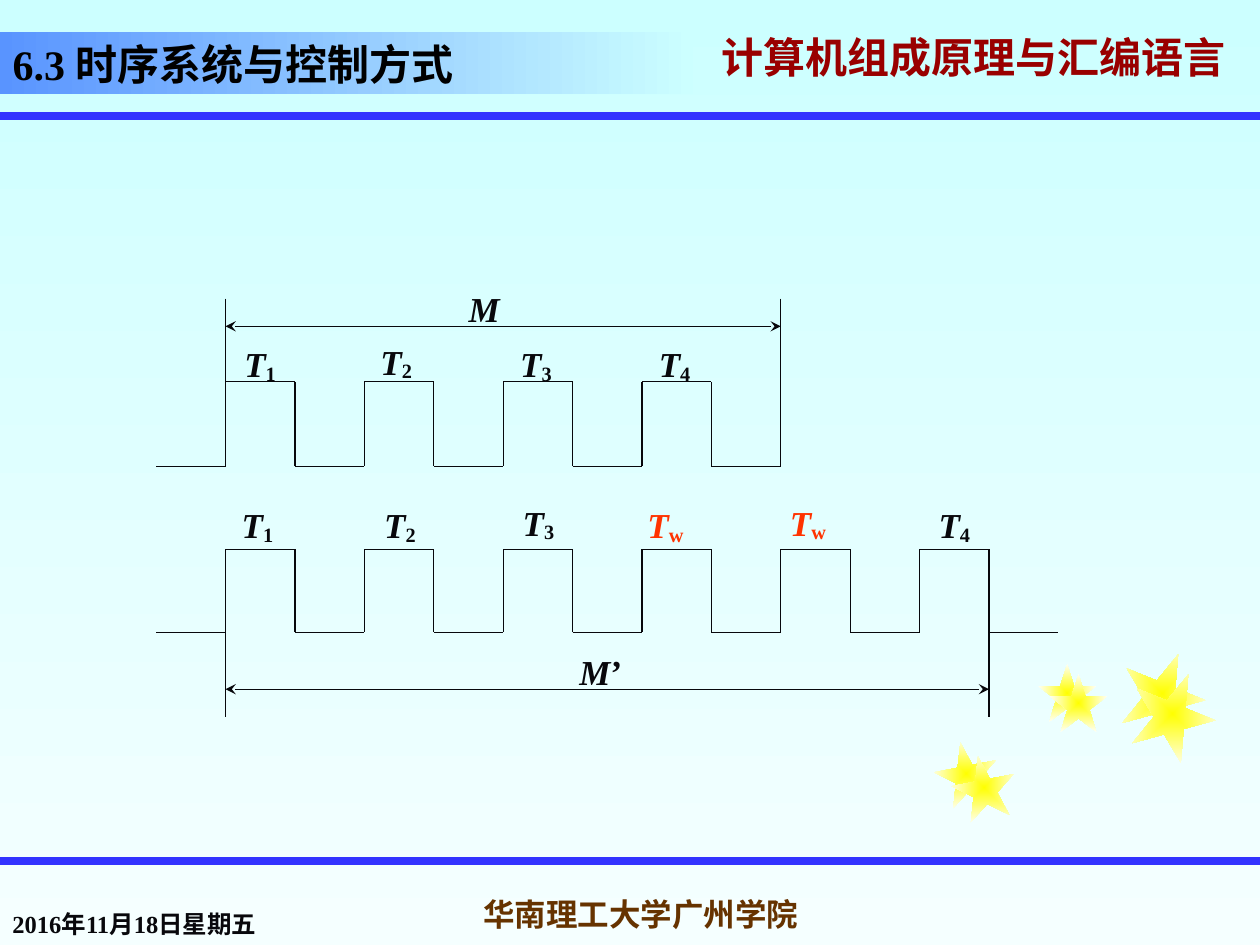
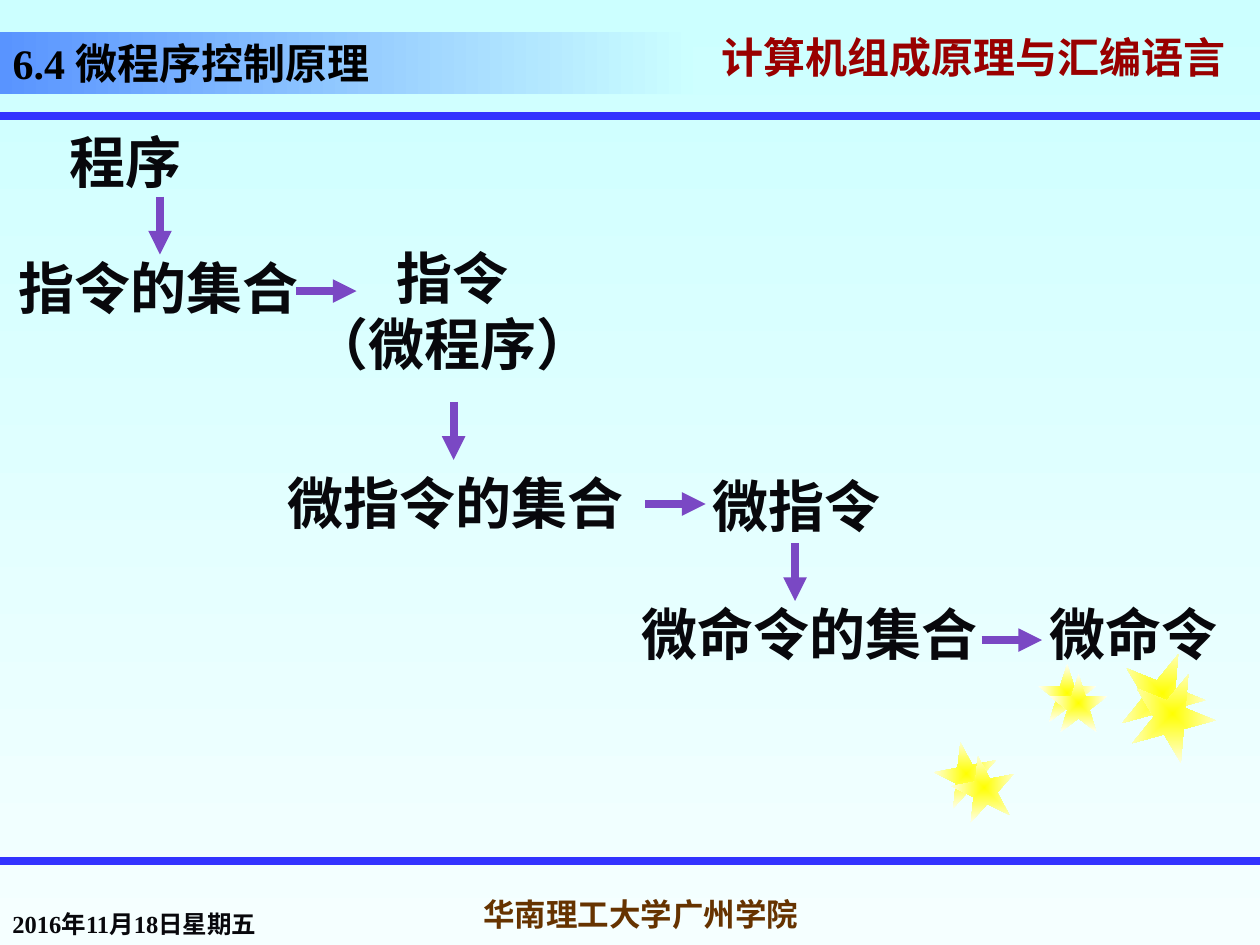
"""Build two lecture slides: clock timing diagrams and the microprogram hierarchy."""
from lxml import etree
from pptx import Presentation
from pptx.dml.color import RGBColor
from pptx.enum.shapes import MSO_CONNECTOR, MSO_SHAPE
from pptx.enum.text import MSO_ANCHOR, MSO_AUTO_SIZE, PP_ALIGN
from pptx.oxml.ns import qn
from pptx.util import Inches, Pt

STRAIGHT, STAR = MSO_CONNECTOR.STRAIGHT, MSO_SHAPE.STAR_5_POINT
LEFT, CENTER, JUSTIFY = PP_ALIGN.LEFT, PP_ALIGN.CENTER, PP_ALIGN.JUSTIFY
TOP, MIDDLE, BOTTOM = MSO_ANCHOR.TOP, MSO_ANCHOR.MIDDLE, MSO_ANCHOR.BOTTOM
NO_FIT = MSO_AUTO_SIZE.NONE

SERIF, SANS = "Times New Roman", "Noto Sans CJK SC"
INK, RED, BLUE, PURPLE = "08080C", "FF3300", "3333FF", "7A48C4"
MAROON, BROWN, BLACK = "990000", "663300", "000000"
PALE, NEAR_WHITE, TITLE_BLUE = "CCFFFF", "F5FFFF", "5994FF"
YELLOW, CREAM = "FFFF00", "FFFFF5"


def write_text(slide, box, text, shape=None, size=20, font=SERIF, color=INK, italic=False,
               subscript="", suffix="", suffix_font=None, align=LEFT, anchor=TOP, wrap=True,
               spacing=None, last_spacing=None, shadow=False):
    """Write bold text in a new text box, or in the given shape."""
    lengths = [Inches(value) for value in box]
    if shape is None:
        shape = slide.shapes.add_textbox(*lengths)
    shape.left, shape.top, shape.width, shape.height = lengths
    frame = shape.text_frame
    frame.word_wrap, frame.auto_size, frame.vertical_anchor = wrap, NO_FIT, anchor
    for index, line in enumerate(text.split("\n")):
        paragraph = frame.add_paragraph() if index else frame.paragraphs[0]
        paragraph.alignment = align
        if spacing:
            paragraph.line_spacing = spacing
        if index:
            paragraph.space_before = Pt(size / 2)
            paragraph.line_spacing = last_spacing
        for part in (line, subscript, suffix):
            if not part:
                continue
            run = paragraph.add_run()
            run.text = part
            run.font.size, run.font.bold = Pt(size), True
            run.font.italic = italic and part is line
            run.font.color.rgb = RGBColor.from_string(color)
            run.font.name = suffix_font if part is suffix and suffix_font else font
            properties = run._r.get_or_add_rPr()
            etree.SubElement(properties, qn("a:ea"), typeface=SANS)
            if part is subscript:
                properties.set("baseline", "-10000")
            if shadow:
                effects = etree.Element(qn("a:effectLst"))
                outer = etree.SubElement(effects, qn("a:outerShdw"), dist="35921", dir="2700000")
                etree.SubElement(outer, qn("a:srgbClr"), val="808080")
                properties.find(qn("a:solidFill")).addnext(effects)


def draw_line(slide, start, end, color=INK, width=0.75, head=None, tail=None):
    """Draw a straight line with optional arrowheads."""
    line = slide.shapes.add_connector(STRAIGHT, *[Inches(value) for value in (*start, *end)])
    line.line.color.rgb = RGBColor.from_string(color)
    line.line.width = Pt(width)
    outline = line.line._get_or_add_ln()
    for tag, kind in (("a:headEnd", head), ("a:tailEnd", tail)):
        if kind:
            etree.SubElement(outline, qn(tag), type=kind)
    etree.SubElement(line._element.spPr, qn("a:effectLst"))


presentation = Presentation()
presentation.slide_width, presentation.slide_height = Inches(10), Inches(7.5)

titles = [("6.3 ", "时序系统与控制方式", 0.8), ("6.4 ", "微程序控制原理", None)]
stars = [(7.42, 5.89, 0.5, 349), (8.24, 5.27, 0.46, 0), (8.89, 5.17, 0.67, 22),
         (7.56, 6, 0.5, 349), (8.33, 5.35, 0.46, 0), (8.97, 5.33, 0.67, 22)]

for number, heading, title_spacing in titles:
    slide = presentation.slides.add_slide(presentation.slide_layouts[5])
    title = slide.shapes.title
    gradients = [(slide.background.fill, PALE, NEAR_WHITE, 270),
                 (title.fill, TITLE_BLUE, PALE, 0)]
    for left, top, size, rotation in stars:
        star = slide.shapes.add_shape(STAR, Inches(left), Inches(top), Inches(size), Inches(size))
        star.rotation = rotation
        star.shadow.inherit = False
        star.line.fill.background()
        gradients.append((star.fill, YELLOW, CREAM, None))
    for fill, first, last, angle in gradients:
        fill.gradient()
        for stop, color in zip(fill.gradient_stops, (first, last)):
            stop.color.rgb = RGBColor.from_string(color)
        if angle is not None:
            fill.gradient_angle = angle
    for star in slide.shapes:
        if star == title:
            continue
        linear = star._element.spPr.find(qn("a:gradFill")).find(qn("a:lin"))
        radial = etree.Element(qn("a:path"), {"path": "shape"})
        etree.SubElement(radial, qn("a:fillToRect"), l="50000", t="50000", r="50000", b="50000")
        linear.getparent().replace(linear, radial)

    for height in (0.92, 6.83):
        draw_line(slide, (0, height), (10, height), BLUE, 4.5)
    write_text(slide, (0, 0.25, 5.5, 0.5), number, shape=title, size=24, color=BLACK,
               suffix=heading, suffix_font=SANS, align=JUSTIFY, anchor=BOTTOM,
               spacing=title_spacing)
    write_text(slide, (5.63, 0.25, 4.37, 0.5), "计算机组成原理与汇编语言", size=24, font=SANS,
               color=MAROON, anchor=MIDDLE, spacing=0.7, shadow=True)
    write_text(slide, (0, 7, 2.24, 0.5), "2016年11月18日星期五", size=14, anchor=BOTTOM)
    write_text(slide, (3.5, 7, 3.17, 0.5), "华南理工大学广州学院", size=18, color=BROWN,
               align=CENTER, anchor=MIDDLE, wrap=False)

timing_slide, hierarchy_slide = presentation.slides

wave_left = 1.79
half_period = (7.85 - wave_left) / 11
waves = [(3.03, 3.7, 8, 8, 2.37, 3.7, 2.59), (4.36, 5.02, 11, 12, 4.36, 5.69, 5.47)]
for high, low, span, steps, limit_top, limit_bottom, arrow_height in waves:
    edges = [wave_left + step * half_period for step in range(span + 1)]
    for step in range(-1, steps):
        level = low if step % 2 else high
        left = wave_left + step * half_period
        draw_line(timing_slide, (left, level), (left + half_period, level))
    for edge in edges[1:-1]:
        draw_line(timing_slide, (edge, high), (edge, low))
    for limit in (edges[0], edges[-1]):
        draw_line(timing_slide, (limit, limit_top), (limit, limit_bottom))
    draw_line(timing_slide, (edges[0], arrow_height), (edges[-1], arrow_height),
              head="stealth", tail="stealth")

clock_labels = [
    (1.84, 2.67, "1"), (2.92, 2.65, "2"), (4.03, 2.67, "3"), (5.13, 2.67, "4"),
    (1.82, 3.95, "1"), (2.95, 3.95, "2"), (4.05, 3.93, "3"),
    (5.04, 3.95, "w"), (6.17, 3.93, "w"), (7.35, 3.95, "4")]
for left, top, subscript in clock_labels:
    write_text(timing_slide, (left, top, 1.65, 0.43), "T", subscript=subscript, italic=True,
               color=RED if subscript == "w" else INK)
for left, top, prime in [(3.62, 2.23, ""), (4.5, 5.11, "’")]:
    write_text(timing_slide, (left, top, 2.48, 0.43), "M", suffix=prime, italic=True)

levels = [
    ((0.45, 0.96, 2, 0.63), "程序", LEFT),
    ((0, 1.96, 2.52, 0.63), "指令的集合", CENTER),
    ((2.27, 1.88, 2.65, 1.17), "指令\n（微程序）", CENTER),
    ((2.04, 3.67, 3.15, 0.63), "微指令的集合", CENTER),
    ((5.56, 3.69, 2.96, 0.63), "微指令", LEFT),
    ((4.85, 4.71, 3.15, 0.63), "微命令的集合", CENTER),
    ((8.23, 4.71, 1.77, 0.63), "微命令", LEFT)]
for box, text, align in levels:
    write_text(hierarchy_slide, box, text, size=32, align=align, last_spacing=0.5)

down, right = (0, 0.46), (0.48, 0)
arrows = [(1.27, 1.56, down), (2.35, 2.31, right), (3.6, 3.19, down),
          (5.12, 4, right), (6.31, 4.31, down), (7.79, 5.08, right)]
for left, top, (across, along) in arrows:
    draw_line(hierarchy_slide, (left, top), (left + across, top + along), PURPLE, 4.5,
              tail="triangle")

presentation.save("out.pptx")
